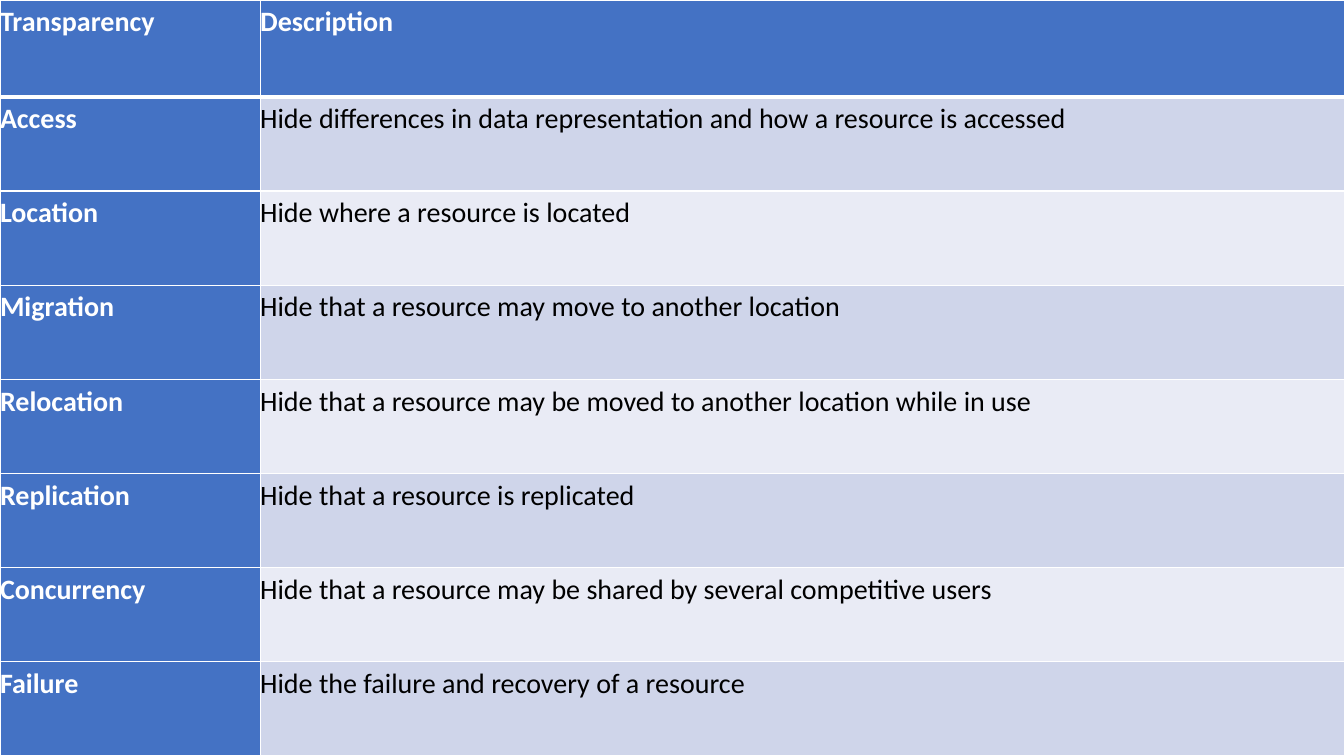
from lxml import etree
from pptx import Presentation
from pptx.dml.color import RGBColor
from pptx.oxml.ns import qn
from pptx.util import Inches, Pt

BLANK_LAYOUT = 6
FONT = "Calibri"
COLORS = {
    "accent": "4472C4",
    "band_dark": "CFD5EA",
    "band_light": "E9EBF5",
    "white": "FFFFFF",
    "black": "000000",
}
COLUMN_WIDTHS = [2.58, 10.91]
HEADER_HEIGHT = 0.96
TABLE_HEIGHT = 7.5
ROWS = [
    ("Transparency", "Description"),
    ("Access", "Hide differences in data representation and how a resource is accessed"),
    ("Location", "Hide where a resource is located"),
    ("Migration", "Hide that a resource may move to another location"),
    ("Relocation", "Hide that a resource may be moved to another location while in use"),
    ("Replication", "Hide that a resource is replicated"),
    ("Concurrency", "Hide that a resource may be shared by several competitive users"),
    ("Failure", "Hide the failure and recovery of a resource"),
]


def color(name):
    return RGBColor.from_string(COLORS[name])


def set_borders(cell, top, bottom):
    """Draw white borders; they must come before the fill in the cell XML."""
    properties = cell._tc.get_or_add_tcPr()
    widths = {"a:lnL": 1, "a:lnR": 1, "a:lnT": top, "a:lnB": bottom}
    for position, (tag, width) in enumerate(widths.items()):
        line = etree.Element(qn(tag), w=str(Pt(width)))
        fill = etree.SubElement(line, qn("a:solidFill"))
        etree.SubElement(fill, qn("a:srgbClr"), val=COLORS["white"])
        properties.insert(position, line)


def fill_cell(cell, text, fill_name, text_name, bold):
    cell.fill.solid()
    cell.fill.fore_color.rgb = color(fill_name)
    cell.margin_left = cell.margin_right = cell.margin_top = cell.margin_bottom = 0
    cell.text_frame.text = text
    paragraph = cell.text_frame.paragraphs[0]
    paragraph.line_spacing = 1.15
    paragraph.space_after = Pt(10)
    font = paragraph.runs[0].font
    font.name = FONT
    font.size = Pt(20)
    font.bold = bold
    font.color.rgb = color(text_name)


def add_transparency_table(slide):
    table = slide.shapes.add_table(
        len(ROWS), len(COLUMN_WIDTHS), Inches(0), Inches(0),
        Inches(sum(COLUMN_WIDTHS)), Inches(TABLE_HEIGHT),
    ).table
    for column, width in zip(table.columns, COLUMN_WIDTHS):
        column.width = Inches(width)
    body_height = (TABLE_HEIGHT - HEADER_HEIGHT) / (len(ROWS) - 1)

    for row_index, texts in enumerate(ROWS):
        table.rows[row_index].height = Inches(body_height if row_index else HEADER_HEIGHT)
        for column_index, text in enumerate(texts):
            cell = table.cell(row_index, column_index)
            # Header row and first column share the accent style
            if row_index == 0 or column_index == 0:
                fill_cell(cell, text, "accent", "white", True)
            else:
                band = "band_dark" if row_index % 2 else "band_light"
                fill_cell(cell, text, band, "black", False)
            # A thicker rule separates the header from the body
            set_borders(cell, top=3 if row_index == 1 else 1,
                        bottom=3 if row_index == 0 else 1)


def main():
    presentation = Presentation()
    presentation.slide_width = Inches(13.33)
    presentation.slide_height = Inches(7.5)
    slide = presentation.slides.add_slide(presentation.slide_layouts[BLANK_LAYOUT])
    add_transparency_table(slide)
    presentation.save("out.pptx")


if __name__ == "__main__":
    main()
